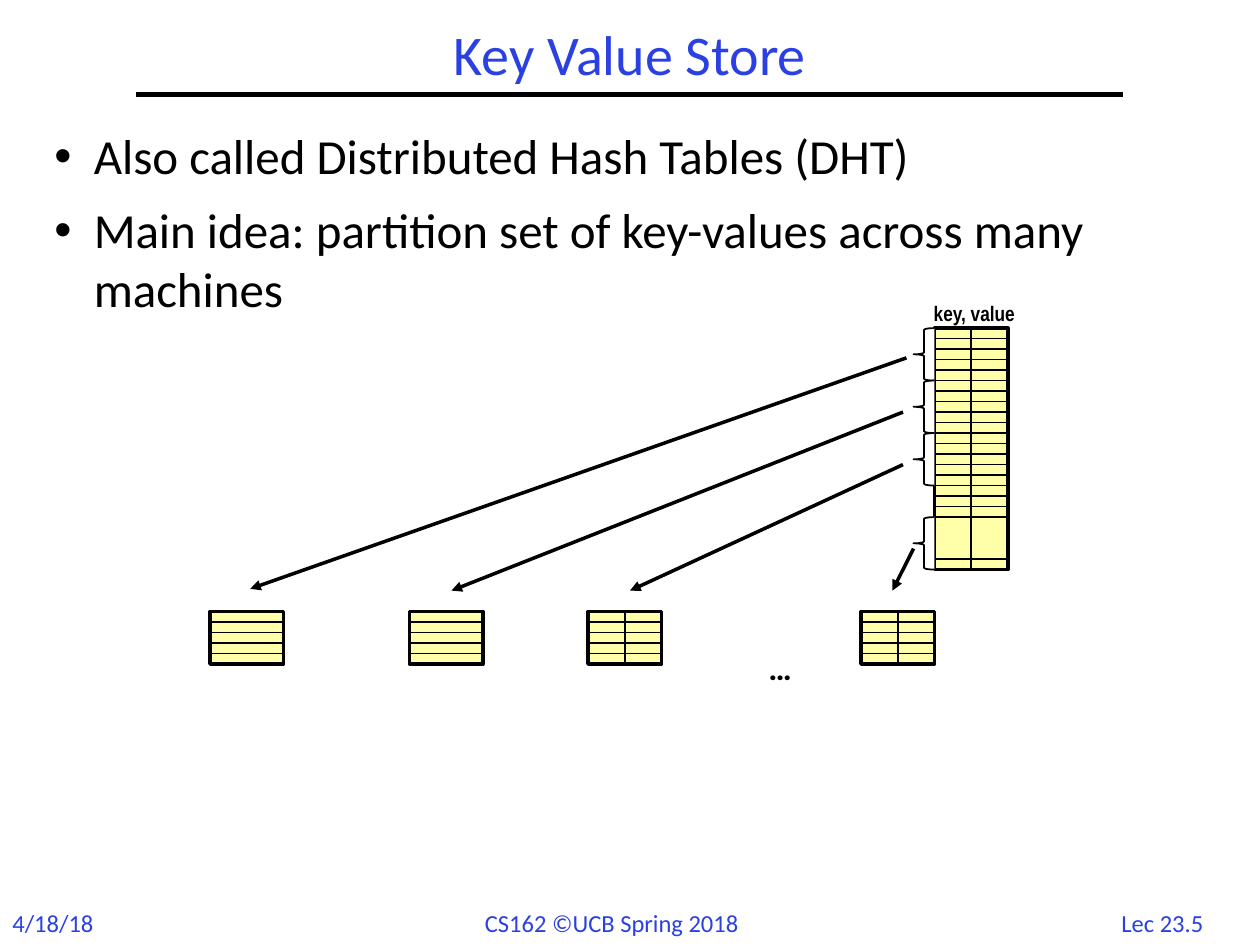
"""Builds the Key Value Store slide: one big table split across machines."""
from lxml.etree import SubElement
from pptx import Presentation
from pptx.dml.color import RGBColor
from pptx.enum.shapes import MSO_CONNECTOR as Link, MSO_SHAPE as Shape
from pptx.enum.text import MSO_ANCHOR as Anchor, PP_ALIGN as Align
from pptx.oxml.ns import qn
from pptx.util import Pt

HUES = {"blue": "2A40E2", "black": "000000", "cell": "FFFFAA", "white": "FFFFFF"}
ROW = 6
WIDE = 42
SPLIT = 5 * ROW
LEFT, TOP, TALL = 534, 187.5, 138
BASE = 349.5
BODY = ["Also called Distributed Hash Tables (DHT)",
        "Main idea: partition set of key-values across many machines"]


def hue(name):
    return RGBColor.from_string(HUES[name])


def add_bullet(para):
    props = para._p.get_or_add_pPr()
    props.set("marL", str(Pt(22.5)))
    props.set("indent", str(-Pt(22.5)))
    SubElement(props, qn("a:buFont")).set("typeface", "Arial")
    SubElement(props, qn("a:buChar")).set("char", "•")


def add_text(slide, box, lines, size, color="black", face="Calibri", bold=False,
             align=Align.LEFT, wrap=False, anchor=Anchor.TOP, bullet=False):
    frame = slide.shapes.add_textbox(*map(Pt, box)).text_frame
    frame.word_wrap, frame.vertical_anchor = wrap, anchor
    frame.text = "\n".join(lines)
    for para in frame.paragraphs:
        para.alignment = align
        if bullet:
            add_bullet(para)
        font = para.font
        font.size, font.name, font.bold = Pt(size), face, bold
        font.color.rgb = hue(color)
    return frame.paragraphs


def add_line(shapes, start, end, width=1, arrow=False):
    link = shapes.add_connector(Link.STRAIGHT, *map(Pt, (*start, *end)))
    link.line.width = Pt(width)
    link.line.color.rgb = hue("black")
    if arrow:
        SubElement(link.line._get_or_add_ln(), qn("a:tailEnd")).set("type", "triangle")
    SubElement(link._element.spPr, qn("a:effectLst"))


def add_box(shapes, kind, box, fill, width):
    shape = shapes.add_shape(kind, *map(Pt, box))
    shape.shadow.inherit = False
    shape.fill.solid()
    shape.fill.fore_color.rgb = hue(fill)
    shape.line.color.rgb = hue("black")
    shape.line.width = Pt(width)


def add_store(slide, left, top, tall, rows, halved=True):
    shapes = slide.shapes.add_group_shape().shapes
    add_box(shapes, Shape.RECTANGLE, (left, top, WIDE, tall), "cell", 2)
    if halved:
        mid = left + WIDE / 2
        add_line(shapes, (mid, top), (mid, top + tall))
    for row in rows:
        y = top + row * ROW
        add_line(shapes, (left, y), (left + WIDE, y))


def add_frame(slide):
    add_text(slide, (628.5, 515.5, 71.5, 24), ["Lec 23.5"], 14, "blue", align=Align.CENTER)
    add_text(slide, (0, 515.5, 72, 24), ["4/18/18"], 14, "blue", wrap=True)
    add_text(slide, (270, 515.5, 165, 24), ["CS162 ©UCB Spring 2018"], 14, "blue")
    add_line(slide.shapes, (78, 54), (642, 54), 3)
    title = add_text(slide, (78, 12, 564, 42), ["Key Value Store"], 32, "blue",
                     align=Align.CENTER, wrap=True, anchor=Anchor.MIDDLE)
    title[0].line_spacing = 0.9


def add_body(slide):
    first, second = add_text(slide, (24, 72, 690, 120), BODY, 28, wrap=True, bullet=True)
    first.line_spacing = 0.9
    second.space_before = Pt(8.4)


def main():
    deck = Presentation()
    deck.slide_width, deck.slide_height = Pt(720), Pt(540)
    slide = deck.slides.add_slide(deck.slide_layouts[6])
    add_frame(slide)
    add_body(slide)
    add_store(slide, LEFT, TOP, TALL, [*range(1, 19), 22])
    for left, halved in ((492, True), (120, False), (234, False), (336, True)):
        add_store(slide, left, BASE, SPLIT, range(1, 5), halved)
    for row in (0, 5, 10, 18):
        add_box(slide.shapes, Shape.LEFT_BRACE,
                (LEFT - 12, TOP + row * ROW, 12, SPLIT), "white", 1)
    add_text(slide, (526.5, 168, 61, 21.5), ["key, value"], 12, face="Arial Narrow", bold=True)
    arrows = [((518, 204.5), (143, 336.5)), ((516, 235.5), (258, 337.5)),
              ((516, 265.5), (360, 337.5)), ((522, 313.5), (510, 337.5))]
    for start, end in arrows:
        add_line(slide.shapes, start, end, 2, arrow=True)
    add_text(slide, (432, 367.5, 39, 36), ["…"], 18, face="Roboto", bold=True)
    deck.save("out.pptx")


if __name__ == "__main__":
    main()
